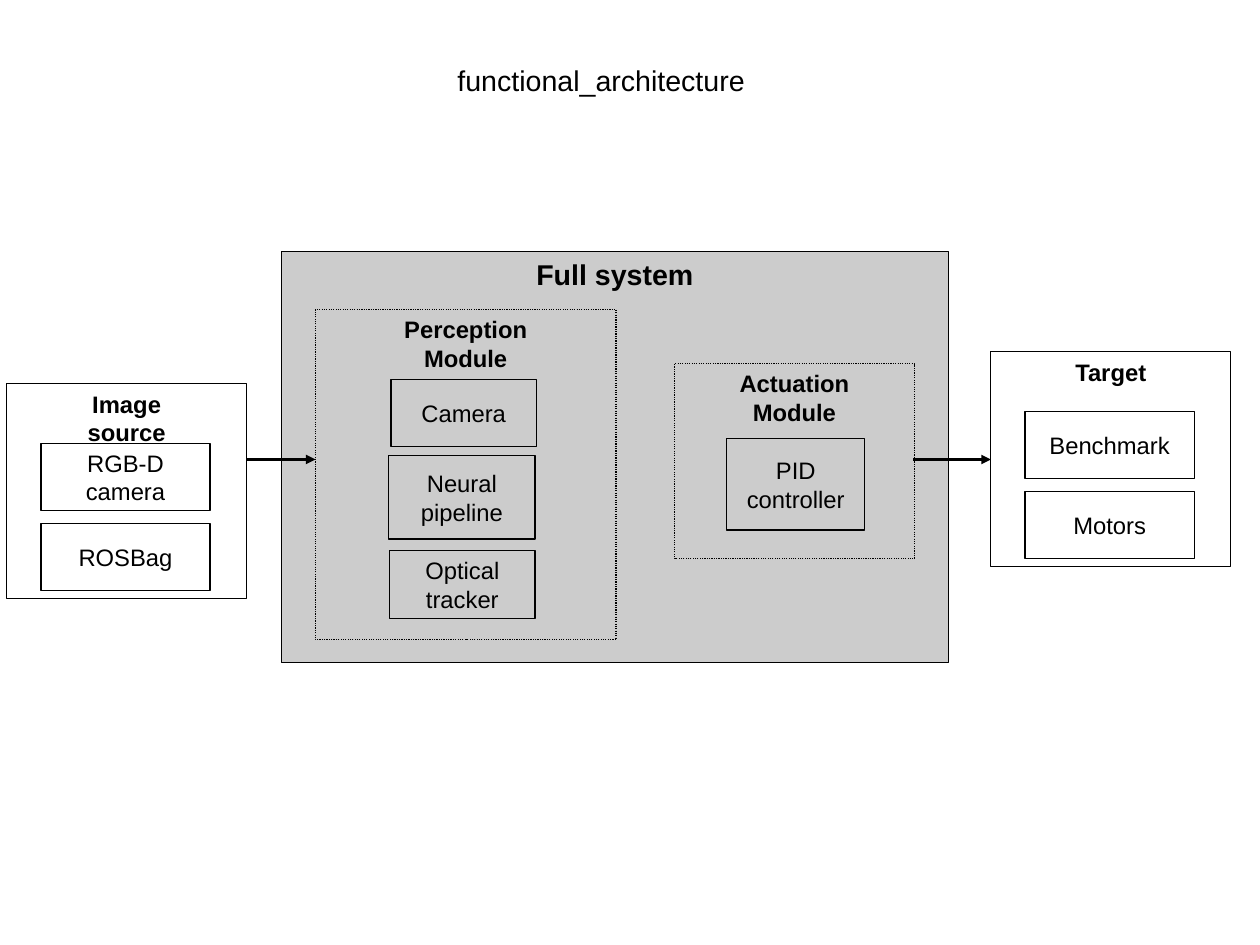
from dataclasses import dataclass

from lxml.etree import SubElement
from pptx import Presentation
from pptx.dml.color import RGBColor
from pptx.enum.dml import MSO_LINE
from pptx.enum.shapes import MSO_CONNECTOR, MSO_SHAPE
from pptx.enum.text import MSO_ANCHOR, MSO_AUTO_SIZE, PP_ALIGN
from pptx.oxml.ns import qn
from pptx.util import Cm, Pt


@dataclass(frozen=True)
class Theme:
    """Colours, font, type sizes and line widths."""
    ink: RGBColor = RGBColor(0x00, 0x00, 0x00)
    panel: RGBColor = RGBColor(0xCC, 0xCC, 0xCC)
    font: str = "Arial"
    large: Pt = Pt(18)
    normal: Pt = Pt(15)
    hairline: Pt = Pt(0)
    outline: Pt = Pt(0.79)


THEME = Theme()


def write(sp, text, size=THEME.normal, bold=False, align=PP_ALIGN.CENTER,
          anchor=MSO_ANCHOR.MIDDLE, wrap=True):
    """Write one paragraph per line of text in a shape."""
    tf = sp.text_frame
    tf.word_wrap = wrap
    tf.auto_size = MSO_AUTO_SIZE.NONE
    tf.vertical_anchor = anchor
    for i, line in enumerate(text.split("\n")):
        p = tf.add_paragraph() if i else tf.paragraphs[0]
        p.alignment = align
        r = p.add_run()
        r.text = line
        r.font.name = THEME.font
        r.font.size = size
        r.font.bold = bold
        r.font.color.rgb = THEME.ink


def add_title(s, text, x, y, w, h):
    """Place and format the slide title."""
    sp = s.shapes.title
    sp.left, sp.top, sp.width, sp.height = Cm(x), Cm(y), Cm(w), Cm(h)
    write(sp, text, size=THEME.large, align=PP_ALIGN.LEFT, anchor=MSO_ANCHOR.TOP)


def add_box(shapes, text, x, y, w, h, fill=None, width=THEME.outline,
            dash=None, **text_format):
    """Add an outlined rectangle with text."""
    sp = shapes.add_shape(MSO_SHAPE.RECTANGLE, Cm(x), Cm(y), Cm(w), Cm(h))
    sp.shadow.inherit = False
    if fill is None:
        sp.fill.background()
    else:
        sp.fill.solid()
        sp.fill.fore_color.rgb = fill
    sp.line.color.rgb = THEME.ink
    sp.line.width = width
    if dash is not None:
        sp.line.dash_style = dash
    write(sp, text, **text_format)


def add_frame(shapes, heading, x, y, w, h, **box_format):
    """Add a hairline frame with a bold heading at its top."""
    add_box(shapes, heading, x, y, w, h, width=THEME.hairline, bold=True,
            anchor=MSO_ANCHOR.TOP, **box_format)


def add_endpoint(s, heading, items, x, y):
    """Add a grouped frame with its stacked items."""
    shapes = s.shapes.add_group_shape().shapes
    add_frame(shapes, heading, x, y, 5.33, 4.78)
    for i, item in enumerate(items):
        add_box(shapes, item, x + 0.76, y + 1.32 + 1.78 * i, 3.76, 1.5)


def add_arrow(s, x1, x2, y):
    """Add a horizontal arrow from x1 to x2."""
    c = s.shapes.add_connector(MSO_CONNECTOR.STRAIGHT, Cm(x1), Cm(y), Cm(x2), Cm(y))
    c.line.color.rgb = THEME.ink
    c.line.width = THEME.hairline
    SubElement(c.line._get_or_add_ln(), qn("a:tailEnd"), type="triangle")
    SubElement(c._element.spPr, qn("a:effectLst"))


def main():
    """Build the functional architecture slide."""
    prs = Presentation()
    prs.slide_width, prs.slide_height = Cm(28), Cm(21)
    s = prs.slides.add_slide(prs.slide_layouts[5])
    add_title(s, "functional_architecture", 9.91, 1.27, 8.64, 0.97)

    add_frame(s.shapes, "Full system", 6.25, 5.59, 14.83, 9.14,
              fill=THEME.panel, size=THEME.large, wrap=False)
    for heading, *place in (
        ("Perception\nModule", 7.01, 6.88, 6.68, 7.34),
        ("Actuation\nModule", 14.99, 8.08, 5.33, 4.34),
    ):
        add_frame(s.shapes, heading, *place, dash=MSO_LINE.ROUND_DOT, wrap=False)
    for component, *place in (
        ("Camera", 8.69, 8.43, 3.23, 1.5),
        ("Neural\npipeline", 8.64, 10.13, 3.25, 1.85),
        ("Optical tracker", 8.66, 12.24, 3.23, 1.5),
        ("PID\ncontroller", 16.15, 9.75, 3.07, 2.03),
    ):
        add_box(s.shapes, component, *place)

    add_endpoint(s, "Image\nsource", ("RGB-D camera", "ROSBag"), 0.15, 8.53)
    add_endpoint(s, "Target", ("Benchmark", "Motors"), 22.02, 7.82)
    add_arrow(s, 5.49, 7.01, 10.21)
    add_arrow(s, 20.3, 22.02, 10.21)
    prs.save("out.pptx")


if __name__ == "__main__":
    main()
